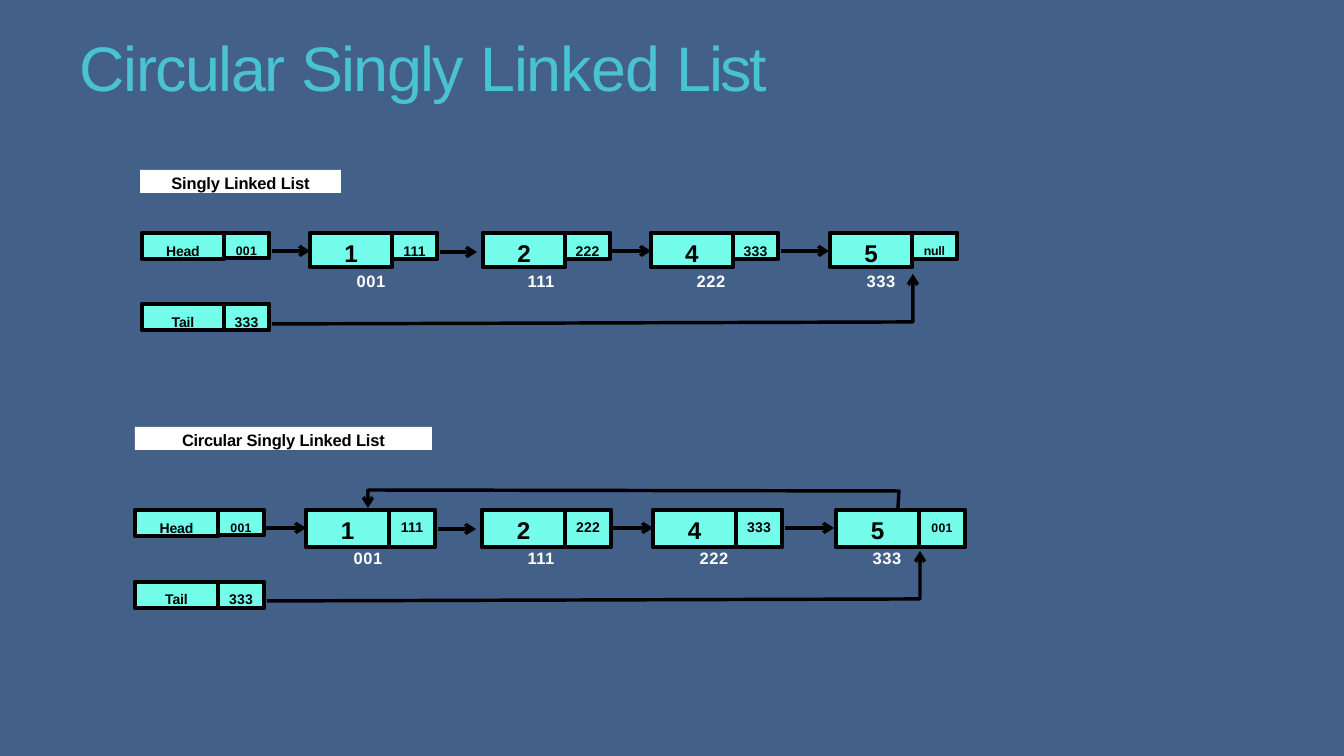
from lxml import etree
from pptx import Presentation
from pptx.dml.color import RGBColor
from pptx.enum.shapes import MSO_CONNECTOR, MSO_SHAPE
from pptx.enum.text import MSO_ANCHOR, PP_ALIGN
from pptx.oxml.ns import qn
from pptx.util import Emu, Pt

RECTANGLE = MSO_SHAPE.RECTANGLE
STRAIGHT = MSO_CONNECTOR.STRAIGHT
TOP = MSO_ANCHOR.TOP
LEFT, CENTER = PP_ALIGN.LEFT, PP_ALIGN.CENTER

SLATE = RGBColor(0x43, 0x60, 0x89)
TURQUOISE = RGBColor(0x49, 0xC3, 0xD2)
AQUA = RGBColor(0x73, 0xFD, 0xEA)
BLACK = RGBColor(0, 0, 0)
WHITE = RGBColor(0xFF, 0xFF, 0xFF)

SCALE = 12192000 / 1344
FONT = "Arial"
VALUE_SIZE, CELL_SIZE, SMALL_SIZE, LABEL_SIZE = 17.3, 10, 8.8, 11.8
TOP_INSET = {VALUE_SIZE: 5, CELL_SIZE: 9, SMALL_SIZE: 10, LABEL_SIZE: 3}
BORDER, ARROW = 3.3, 2.47


def px(length):
    return Emu(round(length * SCALE))


def write(frame, *runs, size, color=BLACK, bold=True, align=CENTER, inset=0, wrap=False):
    frame.word_wrap = wrap
    frame.vertical_anchor = TOP
    frame.margin_left = frame.margin_right = frame.margin_bottom = 0
    frame.margin_top = px(inset)
    paragraph = frame.paragraphs[0]
    paragraph.alignment = align
    for text, spacing in runs:
        run = paragraph.add_run()
        run.text = text
        run.font.name = FONT
        run.font.size = Pt(size)
        run.font.bold = bold
        run.font.color.rgb = color
        run.font._element.set("spc", str(round(spacing * 100)))


class Board:
    def __init__(self, slide):
        self.shapes = slide.shapes
        slide.background.fill.solid()
        slide.background.fill.fore_color.rgb = SLATE

    def text(self, x, y, width, height, *runs, **style):
        box = self.shapes.add_textbox(px(x), px(y), px(width), px(height))
        write(box.text_frame, *runs, inset=1, **style)

    def box(self, x, y, width, height, *runs, size, fill=AQUA, outlined=True):
        shape = self.shapes.add_shape(RECTANGLE, px(x), px(y), px(width), px(height))
        shape.shadow.inherit = False
        shape.fill.solid()
        shape.fill.fore_color.rgb = fill
        if outlined:
            shape.line.color.rgb = BLACK
            shape.line.width = Pt(BORDER)
        else:
            shape.line.fill.background()
        write(shape.text_frame, *runs, size=size, inset=TOP_INSET[size])

    def arrow(self, start, end, y):
        connector = self.shapes.add_connector(STRAIGHT, px(start), px(y), px(end), px(y))
        self.point(connector)
        etree.SubElement(connector._element.spPr, qn("a:effectLst"))

    def route(self, start, *bends):
        builder = self.shapes.build_freeform(*start, scale=SCALE)
        builder.add_line_segments(bends, close=False)
        outline = builder.convert_to_shape()
        outline.shadow.inherit = False
        outline.fill.background()
        self.point(outline)

    def point(self, shape):
        shape.line.color.rgb = BLACK
        shape.line.width = Pt(ARROW)
        line = shape.line._get_or_add_ln()
        etree.SubElement(line, qn("a:round"))
        etree.SubElement(line, qn("a:tailEnd"), type="arrow", w="med", len="med")

    def pair(self, x, y, widths, heights, content, pointer, size, pointer_size):
        spacing = 0.7 if size == VALUE_SIZE else -0.1
        self.box(x, y, widths[0], heights[0], (content, spacing), size=size)
        self.box(x + widths[0], y, widths[1], heights[1],
                 (pointer, -0.1 if pointer == "null" else 0.2), size=pointer_size)

    def linked_list(self, y, head_x, tail_y, node_xs, widths, heights, last_pointer,
                    arrows, address_x, address_step):
        pointers = ADDRESSES[1:] + [last_pointer]
        for x, value, pointer in zip(node_xs, VALUES, pointers):
            pointer_size = SMALL_SIZE if x == node_xs[-1] else CELL_SIZE
            self.pair(x, y, widths, heights, value, pointer, VALUE_SIZE, pointer_size)
        self.pair(head_x, y, widths, (26, 25), "Head", ADDRESSES[0], CELL_SIZE, SMALL_SIZE)
        self.pair(head_x, tail_y, widths, (26, 26), "Tail", ADDRESSES[-1], CELL_SIZE, CELL_SIZE)
        for index, address in enumerate(ADDRESSES):
            self.text(address_x + index * address_step, y + 37, 32, 21, (address, 0.4),
                      size=LABEL_SIZE, color=WHITE)
        for start, end, drop in arrows:
            self.arrow(start, end, y + drop)


VALUES = ["1", "2", "4", "5"]
ADDRESSES = ["001", "111", "222", "333"]

presentation = Presentation()
presentation.slide_width, presentation.slide_height = px(1344), px(756)
board = Board(presentation.slides.add_slide(presentation.slide_layouts[6]))

board.text(80, 28, 714, 78, ("Circular ", -1.1), ("Singly ", -1.2), ("Linked ", -0.7),
           ("List", -1.8), size=44.9, color=TURQUOISE, bold=False, align=LEFT)

board.box(140, 170, 201, 23, ("Singly Linked List", -0.1),
          size=LABEL_SIZE, fill=WHITE, outlined=False)
board.linked_list(
    y=233, head_x=142, tail_y=304, node_xs=(310, 483, 651, 830),
    widths=(82, 45), heights=(34, 26), last_pointer="null",
    arrows=((272, 310, 18), (440, 477, 19), (612, 651, 18), (781, 829, 18)),
    address_x=355, address_step=170)
board.route((272, 324), (913, 322), (913, 274))

board.box(135, 427, 297, 23, ("Circular ", -0.2), ("Singly Linked List", -0.1),
          size=LABEL_SIZE, fill=WHITE, outlined=False)
board.linked_list(
    y=510, head_x=135, tail_y=582, node_xs=(306, 482, 653, 836),
    widths=(83, 46), heights=(37, 37), last_pointer="001",
    arrows=((266, 306, 18), (438, 476, 19), (613, 653, 18), (785, 834, 18)),
    address_x=352, address_step=173)
board.route((267, 601), (920, 599), (920, 551))
board.route((898, 509), (899, 491), (368, 490), (368, 508))

presentation.save("out.pptx")
